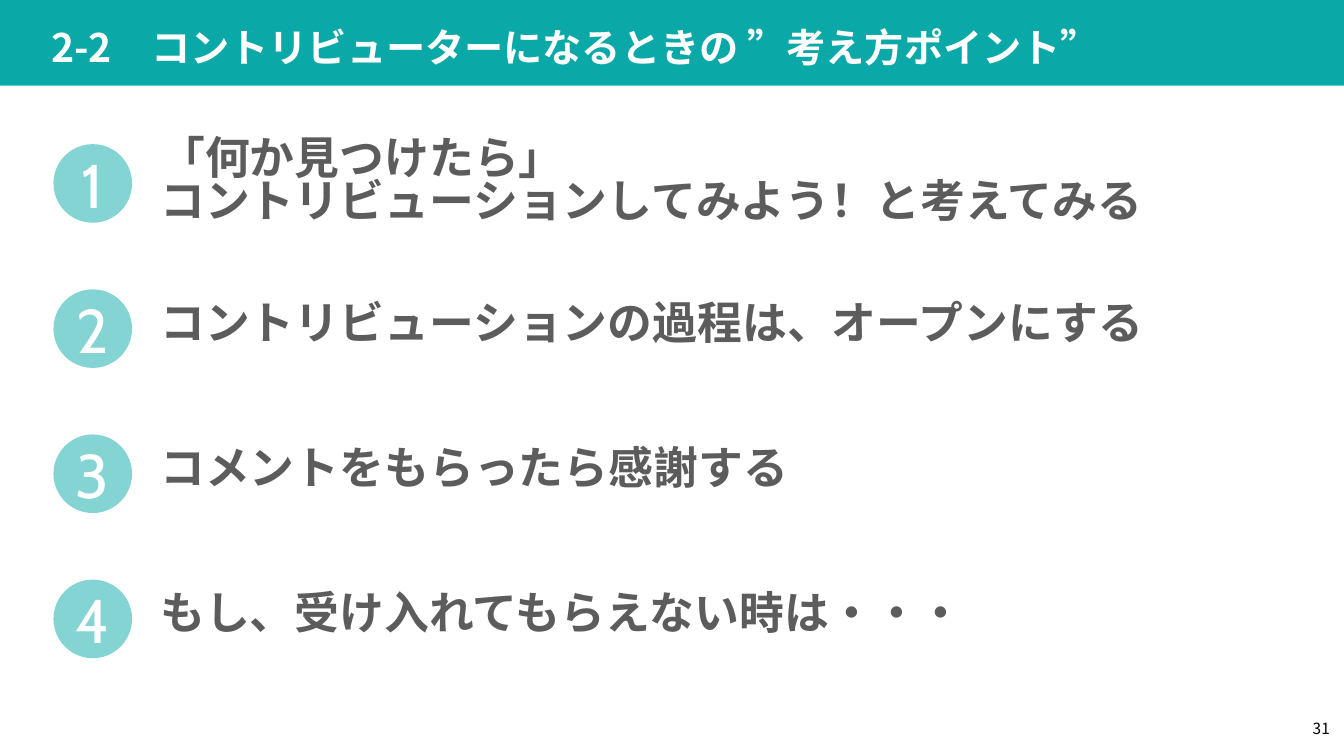
from dataclasses import dataclass

from lxml import etree
from pptx import Presentation
from pptx.dml.color import RGBColor
from pptx.enum.shapes import MSO_SHAPE
from pptx.enum.text import MSO_ANCHOR, PP_ALIGN
from pptx.oxml.ns import qn
from pptx.util import Inches, Pt

RECTANGLE, OVAL = MSO_SHAPE.RECTANGLE, MSO_SHAPE.OVAL
MIDDLE, BOTTOM = MSO_ANCHOR.MIDDLE, MSO_ANCHOR.BOTTOM
LEFT, CENTER, RIGHT = PP_ALIGN.LEFT, PP_ALIGN.CENTER, PP_ALIGN.RIGHT

TITLE = "2-2\u3000コントリビューターになるときの ”考え方ポイント”".replace("\u3000", "　")
PAGE_NUMBER = "31"
POINTS = [
    ["「何か見つけたら」", "コントリビューションしてみよう！と考えてみる"],
    ["コントリビューションの過程は、オープンにする"],
    ["コメントをもらったら感謝する"],
    ["もし、受け入れてもらえない時は・・・"],
]


@dataclass(frozen=True)
class Theme:
    band: str = "0AA8A7"
    badge: str = "85D4D4"
    body: str = "5C5C5C"
    white: str = "FFFFFF"
    black: str = "000000"
    text_font: str = "Noto Sans CJK JP"
    number_font: str = "Cabin"
    title_size: int = 28
    body_size: int = 32
    badge_size: int = 44
    page_size: int = 11


THEME = Theme()
WIDTH, HEIGHT = 13.33, 7.5
BAND_HEIGHT = 0.85
BADGE_LEFT, BADGE_SIZE = 0.53, 0.78
FIRST_CENTER, ROW_STEP = 1.82, 1.44
TEXT_LEFT, TEXT_WIDTH, LINE_HEIGHT = 1.59, 11.02, 0.55


def write(shape, lines, *, size, color, font=THEME.text_font, bold=False, align=LEFT,
          anchor=MIDDLE, insets=(0, 0, 0, 0), spacing=None):
    """Fill a shape with one paragraph per line; insets run left, top, right, bottom."""
    frame = shape.text_frame
    frame.word_wrap = True
    frame.vertical_anchor = anchor
    (frame.margin_left, frame.margin_top,
     frame.margin_right, frame.margin_bottom) = map(Inches, insets)
    for index, line in enumerate(lines):
        paragraph = frame.add_paragraph() if index else frame.paragraphs[0]
        paragraph.alignment = align
        paragraph.line_spacing = spacing
        run = paragraph.add_run()
        run.text = line
        run.font.size = Pt(size)
        run.font.bold = bold
        run.font.name = font
        run.font.color.rgb = RGBColor.from_string(color)
        east_asian = etree.SubElement(run.font._element, qn("a:ea"))
        east_asian.set("typeface", font)


def add_filled(slide, kind, box, color):
    shape = slide.shapes.add_shape(kind, *map(Inches, box))
    shape.shadow.inherit = False
    shape.fill.solid()
    shape.fill.fore_color.rgb = RGBColor.from_string(color)
    shape.line.fill.background()
    return shape


def add_text(slide, box, lines, **text_format):
    write(slide.shapes.add_textbox(*map(Inches, box)), lines, **text_format)


def add_point(slide, index, lines):
    """Add one numbered badge with its statement beside it."""
    center = FIRST_CENTER + index * ROW_STEP
    badge_box = (BADGE_LEFT, center - BADGE_SIZE / 2, BADGE_SIZE, BADGE_SIZE)
    badge = add_filled(slide, OVAL, badge_box, THEME.badge)
    write(badge, [str(index + 1)], size=THEME.badge_size, color=THEME.white,
          font=THEME.number_font, align=CENTER)
    several = len(lines) > 1
    height = LINE_HEIGHT * len(lines)
    add_text(slide, (TEXT_LEFT, center - height / 2, TEXT_WIDTH, height), lines,
             size=THEME.body_size, color=THEME.body, bold=True,
             insets=(0, 0, 0, 0 if several else 0.08),
             spacing=0.8 if several else 0.9)


def main():
    presentation = Presentation()
    presentation.slide_width, presentation.slide_height = Inches(WIDTH), Inches(HEIGHT)
    slide = presentation.slides.add_slide(presentation.slide_layouts[6])
    add_filled(slide, RECTANGLE, (0, 0, WIDTH, BAND_HEIGHT), THEME.band)
    add_text(slide, (0, 0, 12.52, 0.82), [TITLE], size=THEME.title_size,
             color=THEME.white, bold=True, anchor=BOTTOM,
             insets=(0.51, 0.12, 0.47, 0.12), spacing=0.9)
    for index, lines in enumerate(POINTS):
        add_point(slide, index, lines)
    add_text(slide, (12.73, 7.03, 0.46, 0.4), [PAGE_NUMBER], size=THEME.page_size,
             color=THEME.black, align=RIGHT)
    presentation.save("out.pptx")


if __name__ == "__main__":
    main()
